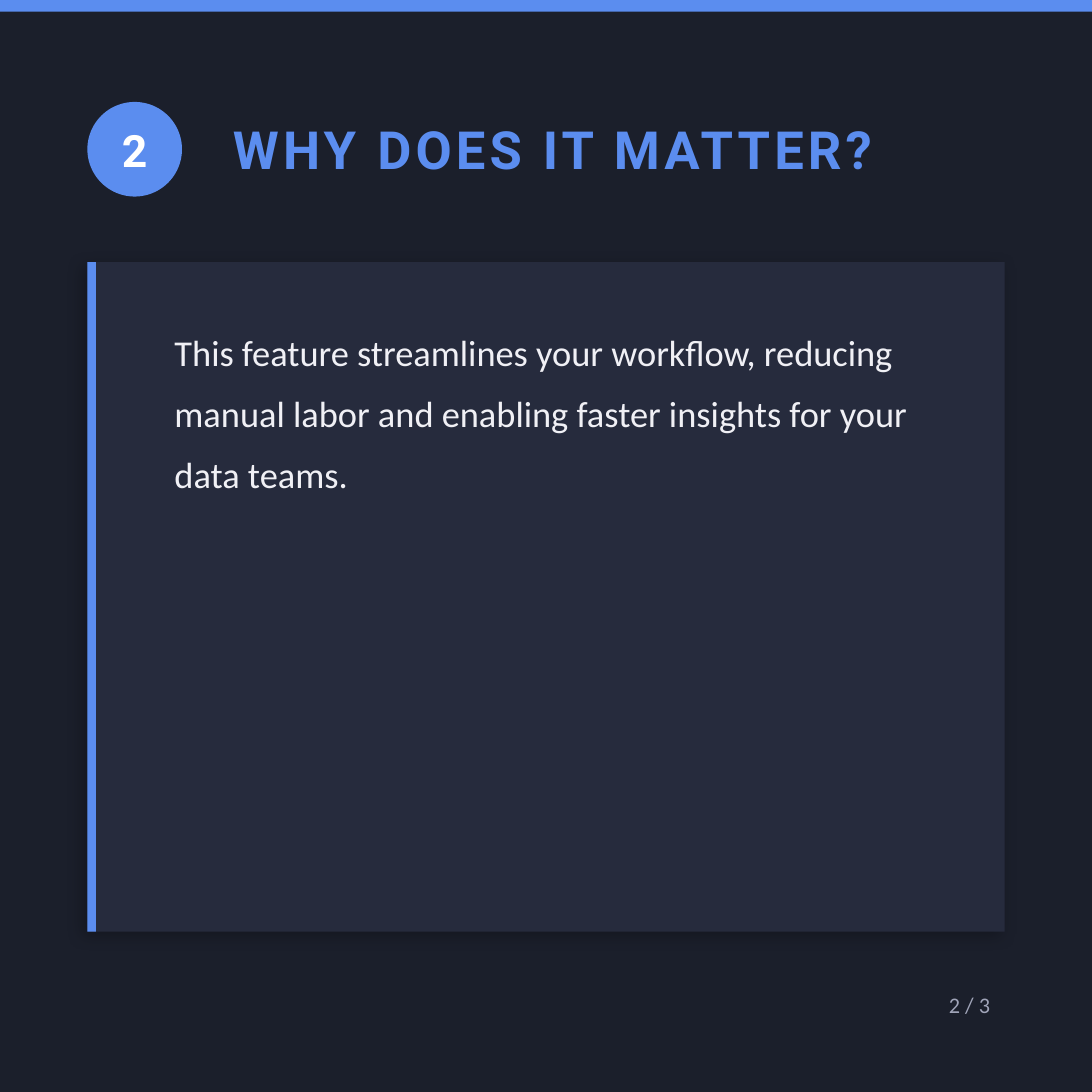
from lxml.etree import SubElement
from pptx import Presentation
from pptx.dml.color import RGBColor
from pptx.enum.shapes import MSO_SHAPE as SHAPE
from pptx.enum.text import MSO_ANCHOR as ANCHOR, MSO_AUTO_SIZE as AUTO, PP_ALIGN as ALIGN
from pptx.oxml.ns import qn
from pptx.util import Inches, Pt

BACK = RGBColor(0x1B, 0x1F, 0x2B)
ACCENT = RGBColor(0x5B, 0x8D, 0xEF)
PANEL = RGBColor(0x26, 0x2B, 0x3D)
WHITE = RGBColor(0xFF, 0xFF, 0xFF)
BODY = RGBColor(0xF0, 0xF0, 0xF5)
MUTED = RGBColor(0xA0, 0xA4, 0xB8)

GRID = 75
CELL = Inches(7.5) / GRID
MARGIN = 6
CONTENT = GRID - 2 * MARGIN


def place(sp, x, y, w, h):
    """Move a shape to a box given in grid cells."""
    sp.left, sp.top, sp.width, sp.height = (round(v * CELL) for v in (x, y, w, h))


def add_block(s, box, color, kind=SHAPE.RECTANGLE):
    """Add a plain filled shape without line or shadow."""
    sp = s.shapes.add_shape(kind, 0, 0, 0, 0)
    place(sp, *box)
    sp.shadow.inherit = False
    sp.fill.solid()
    sp.fill.fore_color.rgb = color
    sp.line.fill.background()
    return sp


def add_shadow(sp, blur, dist, angle, opacity):
    """Give a shape a soft black outer shadow."""
    effects = sp._element.spPr.find(qn("a:effectLst"))
    shadow = SubElement(effects, qn("a:outerShdw"), blurRad=str(Pt(blur)),
                        dist=str(Pt(dist)), dir=str(angle * 60000),
                        algn="ctr", rotWithShape="0")
    color = SubElement(shadow, qn("a:srgbClr"), val="000000")
    SubElement(color, qn("a:alpha"), val=str(opacity * 1000))


def write(sp, text, size, color, font="Calibri", bold=False, align=ALIGN.LEFT,
          anchor=ANCHOR.MIDDLE, leading=None, tracking=None):
    """Write one formatted paragraph into a shape."""
    tf = sp.text_frame
    tf.word_wrap, tf.auto_size, tf.vertical_anchor = True, AUTO.NONE, anchor
    p = tf.paragraphs[0]
    p.alignment, p.line_spacing = align, leading
    r = p.add_run()
    r.text = text
    r.font.name, r.font.size, r.font.bold = font, Pt(size), bold
    r.font.color.rgb = color
    if tracking:
        r._r.get_or_add_rPr().set("spc", str(tracking * 100))


def add_text(s, box, text, **fmt):
    """Add a text box with one formatted paragraph."""
    tb = s.shapes.add_textbox(0, 0, 0, 0)
    place(tb, *box)
    write(tb, text, **fmt)


def add_header(s, box, number, title):
    """Place the numbered badge and the slide title."""
    x, y, w, h = box
    badge = add_block(s, (x, y, h, h), ACCENT, SHAPE.OVAL)
    tf = badge.text_frame
    tf.margin_left = tf.margin_right = 0
    write(badge, number, size=22, color=WHITE, font="Roboto", bold=True, align=ALIGN.CENTER)
    place(s.shapes.title, x + 9, y + 0.2, w - 9, 6)
    write(s.shapes.title, title, size=26, color=ACCENT, font="Roboto", bold=True, tracking=2)


def add_card(s, box, text):
    """Place the shadowed panel with its accent edge and body text."""
    x, y, w, h = box
    add_shadow(add_block(s, box, PANEL), blur=8, dist=3, angle=135, opacity=25)
    add_block(s, (x, y, 0.6, h), ACCENT)
    add_text(s, (x + 5, y + 3, w - 8, h - 6), text, size=18, color=BODY,
             anchor=ANCHOR.TOP, leading=1.4)


def add_footer(s, box, text):
    """Place the right-aligned page count."""
    add_text(s, box, text, size=11, color=MUTED, align=ALIGN.RIGHT)


def main():
    """Build and save the slide."""
    prs = Presentation()
    prs.slide_width = prs.slide_height = round(GRID * CELL)
    s = prs.slides.add_slide(prs.slide_layouts.get_by_name("Title Only"))
    s.background.fill.solid()
    s.background.fill.fore_color.rgb = BACK
    add_block(s, (0, 0, GRID, 0.8), ACCENT)
    add_header(s, (MARGIN, 7, CONTENT, 6.5), "2", "WHY DOES IT MATTER?")
    add_card(s, (MARGIN, 18, CONTENT, 46),
             "This feature streamlines your workflow, reducing manual labor "
             "and enabling faster insights for your data teams.")
    add_footer(s, (MARGIN, 67, CONTENT, 4), "2 / 3")
    prs.save("out.pptx")


if __name__ == "__main__":
    main()
